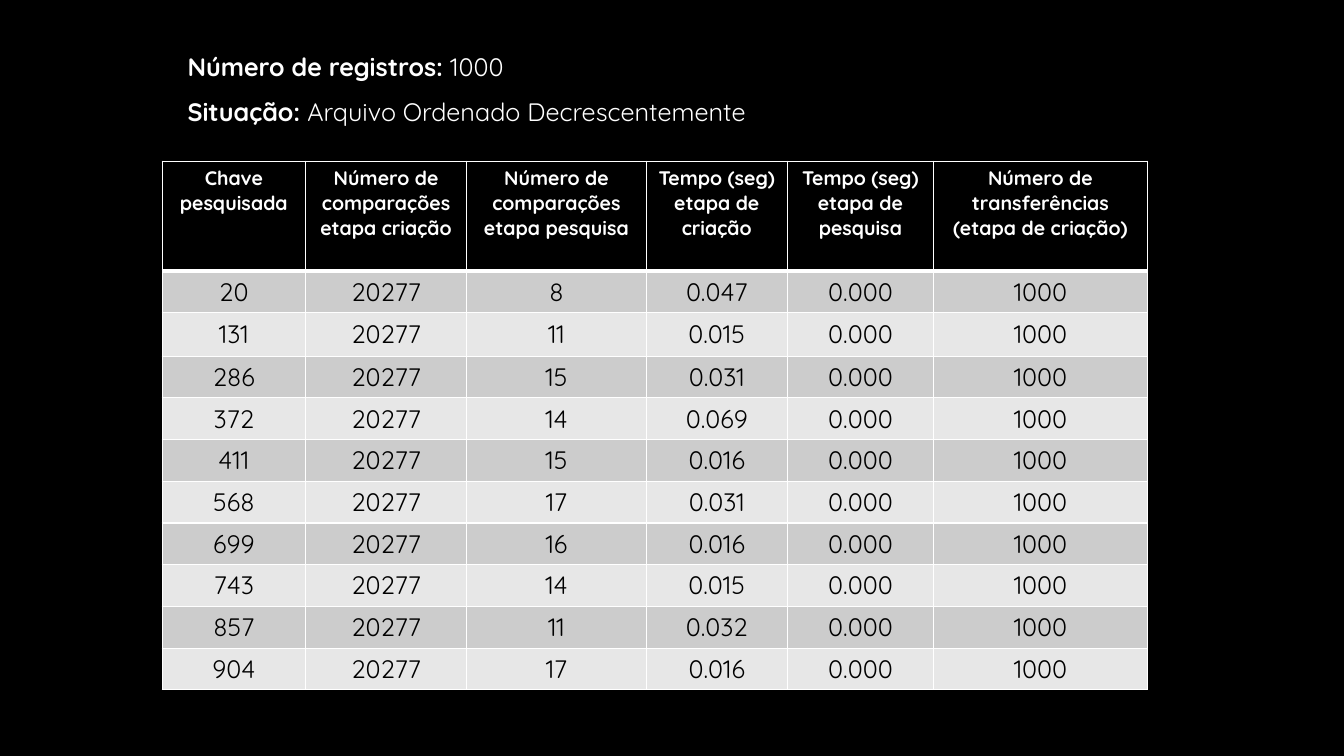
from lxml import etree
from pptx import Presentation
from pptx.dml.color import RGBColor
from pptx.enum.text import MSO_ANCHOR, MSO_AUTO_SIZE, PP_ALIGN
from pptx.oxml.ns import qn
from pptx.util import Inches, Pt

LEFT, CENTER = PP_ALIGN.LEFT, PP_ALIGN.CENTER
TOP = MSO_ANCHOR.TOP
NO_AUTOFIT = MSO_AUTO_SIZE.NONE
TITLE_ONLY = 5

FONT = "Quicksand"
COLORS = {
    "background": "000000",
    "light_text": "FFFFFF",
    "dark_text": "000000",
    "border": "FFFFFF",
    "header": "000000",
    "odd_row": "CCCCCC",
    "even_row": "E7E7E7",
}

HEADING = [
    ("Número de registros: ", "1000"),
    ("Situação: ", "Arquivo Ordenado Decrescentemente"),
]
HEADERS = [
    "Chave pesquisada",
    "Número de comparações etapa criação",
    "Número de comparações etapa pesquisa",
    "Tempo (seg) etapa de criação",
    "Tempo (seg) etapa de pesquisa",
    "Número de transferências (etapa de criação)",
]
# Searched key, comparisons while searching, creation time
SEARCHES = [
    ("20", "8", "0.047"),
    ("131", "11", "0.015"),
    ("286", "15", "0.031"),
    ("372", "14", "0.069"),
    ("411", "15", "0.016"),
    ("568", "17", "0.031"),
    ("699", "16", "0.016"),
    ("743", "14", "0.015"),
    ("857", "11", "0.032"),
    ("904", "17", "0.016"),
]
CREATION_COMPARISONS, SEARCH_TIME, TRANSFERS = "20277", "0.000", "1000"
COLUMN_WIDTHS = [1.42, 1.6, 1.78, 1.4, 1.45, 2.12]
ROW_HEIGHTS = [1.09, 0.41, 0.43] + [0.41] * 8


def rgb(name):
    return RGBColor.from_string(COLORS[name])


def set_font(font, size, color, bold=None):
    font.name = FONT
    font.size = Pt(size)
    font.color.rgb = rgb(color)
    font.bold = bold


def set_borders(cell, top, bottom):
    """Draw the four cell borders; widths are in points."""
    properties = cell._tc.get_or_add_tcPr()
    for tag, width in (("a:lnL", 1), ("a:lnR", 1), ("a:lnT", top), ("a:lnB", bottom)):
        line = etree.SubElement(properties, qn(tag), w=str(Pt(width)))
        fill = etree.SubElement(line, qn("a:solidFill"))
        etree.SubElement(fill, qn("a:srgbClr"), val=COLORS["border"])


def add_heading(slide):
    title = slide.shapes.title
    title.left, title.top = Inches(1.76), Inches(0.31)
    title.width, title.height = Inches(6.23), Inches(1.01)
    frame = title.text_frame
    frame.word_wrap = True
    frame.auto_size = NO_AUTOFIT
    frame.vertical_anchor = TOP
    for index, (label, value) in enumerate(HEADING):
        paragraph = frame.add_paragraph() if index else frame.paragraphs[0]
        paragraph.alignment = LEFT
        paragraph.line_spacing = 1.5
        for text, bold in ((label, True), (value, False)):
            run = paragraph.add_run()
            run.text = text
            set_font(run.font, 18, "light_text", bold)


def fill_cell(cell, text, row):
    is_header = row == 0
    set_borders(cell, top=3 if row == 1 else 1, bottom=3 if is_header else 1)
    cell.fill.solid()
    band = "odd_row" if row % 2 else "even_row"
    cell.fill.fore_color.rgb = rgb("header" if is_header else band)
    cell.text = text
    paragraph = cell.text_frame.paragraphs[0]
    paragraph.alignment = CENTER
    if is_header:
        set_font(paragraph.font, 14, "light_text", True)
    else:
        set_font(paragraph.font, 18, "dark_text", False)


def add_results_table(slide):
    rows = [HEADERS] + [
        (key, CREATION_COMPARISONS, comparisons, time, SEARCH_TIME, TRANSFERS)
        for key, comparisons, time in SEARCHES
    ]
    table = slide.shapes.add_table(
        len(rows), len(HEADERS), Inches(1.61), Inches(1.6),
        Inches(sum(COLUMN_WIDTHS)), Inches(sum(ROW_HEIGHTS)),
    ).table
    for column, width in zip(table.columns, COLUMN_WIDTHS):
        column.width = Inches(width)
    for row, height in zip(table.rows, ROW_HEIGHTS):
        row.height = Inches(height)
    for row_index, values in enumerate(rows):
        for column_index, text in enumerate(values):
            fill_cell(table.cell(row_index, column_index), text, row_index)


def main():
    presentation = Presentation()
    presentation.slide_width = Inches(13.33)
    presentation.slide_height = Inches(7.5)
    slide = presentation.slides.add_slide(presentation.slide_layouts[TITLE_ONLY])

    # Black background
    slide.background.fill.solid()
    slide.background.fill.fore_color.rgb = rgb("background")

    # Heading and results
    add_heading(slide)
    add_results_table(slide)
    presentation.save("out.pptx")


if __name__ == "__main__":
    main()
